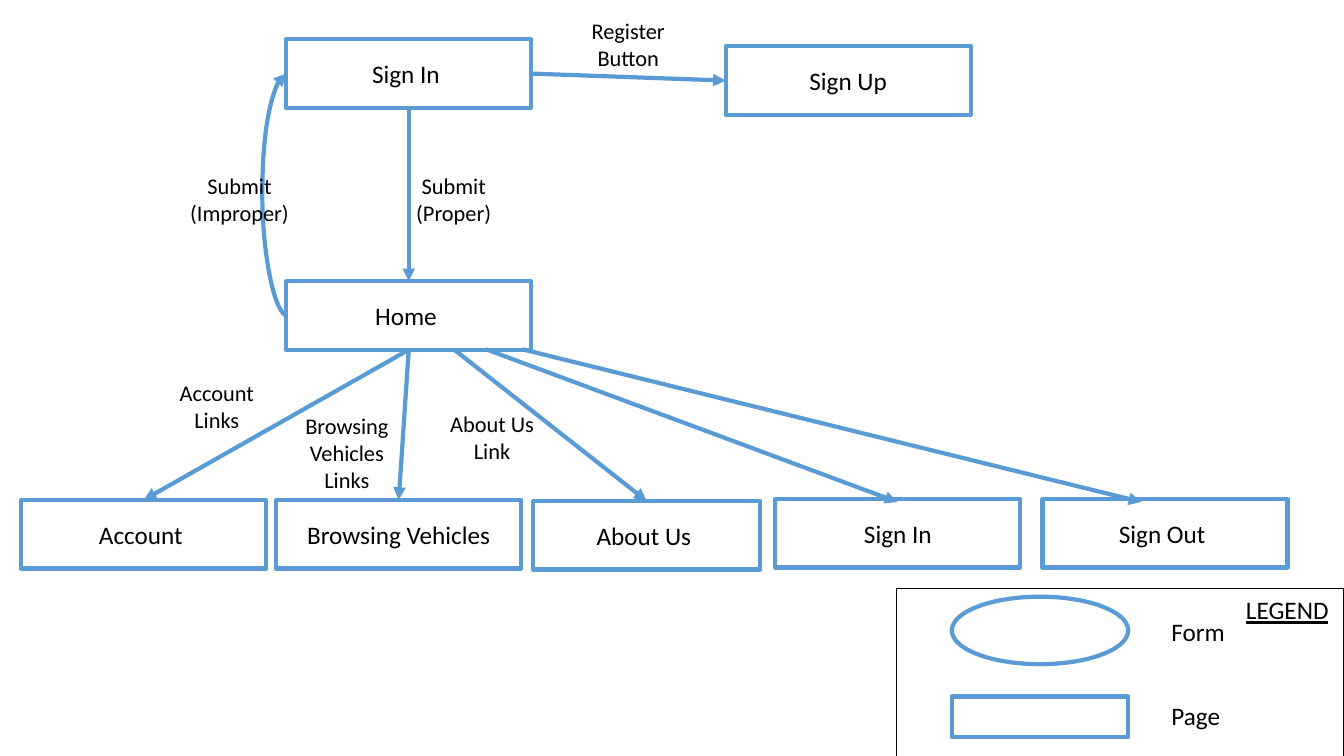
from lxml.etree import SubElement
from pptx import Presentation
from pptx.dml.color import RGBColor
from pptx.enum.shapes import MSO_CONNECTOR, MSO_SHAPE
from pptx.enum.text import MSO_ANCHOR, MSO_AUTO_SIZE, PP_ALIGN
from pptx.oxml.ns import qn
from pptx.util import Inches, Pt

COLORS = {"white": "FFFFFF", "blue": "5B9BD5", "black": "000000"}
TOP, LEFT, BOTTOM, RIGHT = range(4)  # connection sites of a page box

prs = Presentation()
prs.slide_width, prs.slide_height = Inches(13.33), Inches(7.5)
COL, ROW = prs.slide_width / 100, prs.slide_height / 100  # 100 x 100 grid
s = prs.slides.add_slide(prs.slide_layouts[6])


def add_box(preset, x, y, w, h, text="", line="blue", width=3, fill="white"):
    """Add an outlined shape, placed in grid units, with centred text."""
    sp = s.shapes.add_shape(preset, int(x * COL), int(y * ROW), int(w * COL), int(h * ROW))
    sp.shadow.inherit = False
    if preset == MSO_SHAPE.ROUNDED_RECTANGLE:
        sp.adjustments[0] = 0
    if fill:
        sp.fill.solid()
        sp.fill.fore_color.rgb = RGBColor.from_string(COLORS[fill])
    else:
        sp.fill.background()
    sp.line.color.rgb = RGBColor.from_string(COLORS[line])
    sp.line.width = Pt(width)
    if text:
        write(sp.text_frame, text, 18, PP_ALIGN.CENTER)
        sp.text_frame.vertical_anchor = MSO_ANCHOR.MIDDLE
    return sp


def write(tf, text, size, align):
    """Fill a text frame with one black Calibri paragraph."""
    tf.text = text
    p = tf.paragraphs[0]
    p.alignment = align
    r = p.runs[0]
    r.font.name, r.font.size = "Calibri", Pt(size)
    r.font.color.rgb = RGBColor.from_string(COLORS["black"])
    return r


# Pages: key -> x, y, width, text
pages = {}
for key, x, y, w, text in [
    ("sign_in", 21.3, 5.2, 18.23, "Sign In "),
    ("sign_up", 54, 6.13, 18.23, "Sign Up"),
    ("home", 21.3, 37.2, 18.23, "Home "),
    ("account", 1.58, 66.13, 18.23, "Account "),
    ("browsing", 20.55, 66.13, 18.23, "Browsing Vehicles"),
    ("about", 39.68, 66.27, 16.88, "About Us "),
    ("sign_in_link", 57.69, 66, 18.23, "Sign In"),
    ("sign_out", 77.57, 66, 18.23, "Sign Out "),
]:
    pages[key] = add_box(MSO_SHAPE.ROUNDED_RECTANGLE, x, y, w, 9.07, text)

# Arrows: kind, start x and y, end x and y, glued start, glued end
STRAIGHT, CURVE = MSO_CONNECTOR.STRAIGHT, MSO_CONNECTOR.CURVE
for kind, x1, y1, x2, y2, start, end in [
    (CURVE, 21.3, 9.73, 21.38, 41.73, None, None),
    (STRAIGHT, 30.4, 14.27, 30.4, 37.2, ("sign_in", BOTTOM), ("home", TOP)),
    (STRAIGHT, 39.5, 9.73, 54, 10.67, ("sign_in", RIGHT), ("sign_up", LEFT)),
    (STRAIGHT, 30.4, 46.2, 10.65, 66.13, ("home", BOTTOM), ("account", TOP)),
    (STRAIGHT, 30.4, 46.2, 29.63, 66.13, ("home", BOTTOM), ("browsing", TOP)),
    (STRAIGHT, 33.76, 46.2, 48.16, 66.27, None, ("about", TOP)),
    (STRAIGHT, 36.16, 46.2, 66.77, 66.4, None, None),
    (STRAIGHT, 38.86, 46.2, 84.92, 66.4, None, None),
]:
    cn = s.shapes.add_connector(kind, int(x1 * COL), int(y1 * ROW), int(x2 * COL), int(y2 * ROW))
    if start:
        cn.begin_connect(pages[start[0]], start[1])
    if end:
        cn.end_connect(pages[end[0]], end[1])
    cn.line.color.rgb = RGBColor.from_string(COLORS["blue"])
    cn.line.width = Pt(3)
    spPr = cn._element.spPr
    SubElement(spPr.find(qn("a:ln")), qn("a:tailEnd"), type="triangle")
    SubElement(spPr, qn("a:effectLst"))
    if kind == CURVE:  # half a turn makes it run upwards, bulging left
        spPr.find(qn("a:xfrm")).set("rot", "10800000")
        guides = spPr.find(qn("a:prstGeom")).find(qn("a:avLst"))
        SubElement(guides, qn("a:gd"), name="adj1", fmla="val 2340000")

# Legend frame and samples
add_box(MSO_SHAPE.RECTANGLE, 66.69, 77.87, 33.31, 22.67, line="black", width=1, fill=None)
add_box(MSO_SHAPE.OVAL, 70.82, 78.93, 13.13, 8.93)
add_box(MSO_SHAPE.ROUNDED_RECTANGLE, 70.82, 92.13, 13.13, 5.33)

# Arrow labels (16 pt, wrapped, centred) and legend texts (18 pt, one line)
for x, y, w, h, size, text in [
    (29.86, 22.13, 7.8, 8.53, 16, "Submit (Proper)"),
    (13.13, 22.13, 9.38, 8.53, 16, "Submit (Improper)"),
    (42.84, 1.6, 7.8, 8.53, 16, "Register Button"),
    (12.23, 49.47, 7.8, 8.53, 16, "Account Links"),
    (21.91, 53.87, 7.8, 12.13, 16, "Browsing Vehicles Links"),
    (32.71, 53.6, 7.8, 8.53, 16, "About Us Link"),
    (91.97, 78, 7.73, 5.33, 18, "LEGEND"),
    (86.42, 80.93, 5.55, 5.33, 18, "Form"),
    (86.42, 92, 5.18, 5.33, 18, "Page"),
]:
    tb = s.shapes.add_textbox(int(x * COL), int(y * ROW), int(w * COL), int(h * ROW))
    tf = tb.text_frame
    tf.word_wrap = size == 16
    tf.auto_size = MSO_AUTO_SIZE.SHAPE_TO_FIT_TEXT
    r = write(tf, text, size, PP_ALIGN.CENTER if size == 16 else PP_ALIGN.LEFT)
    if text == "LEGEND":
        r.font.underline = True

prs.save("out.pptx")
